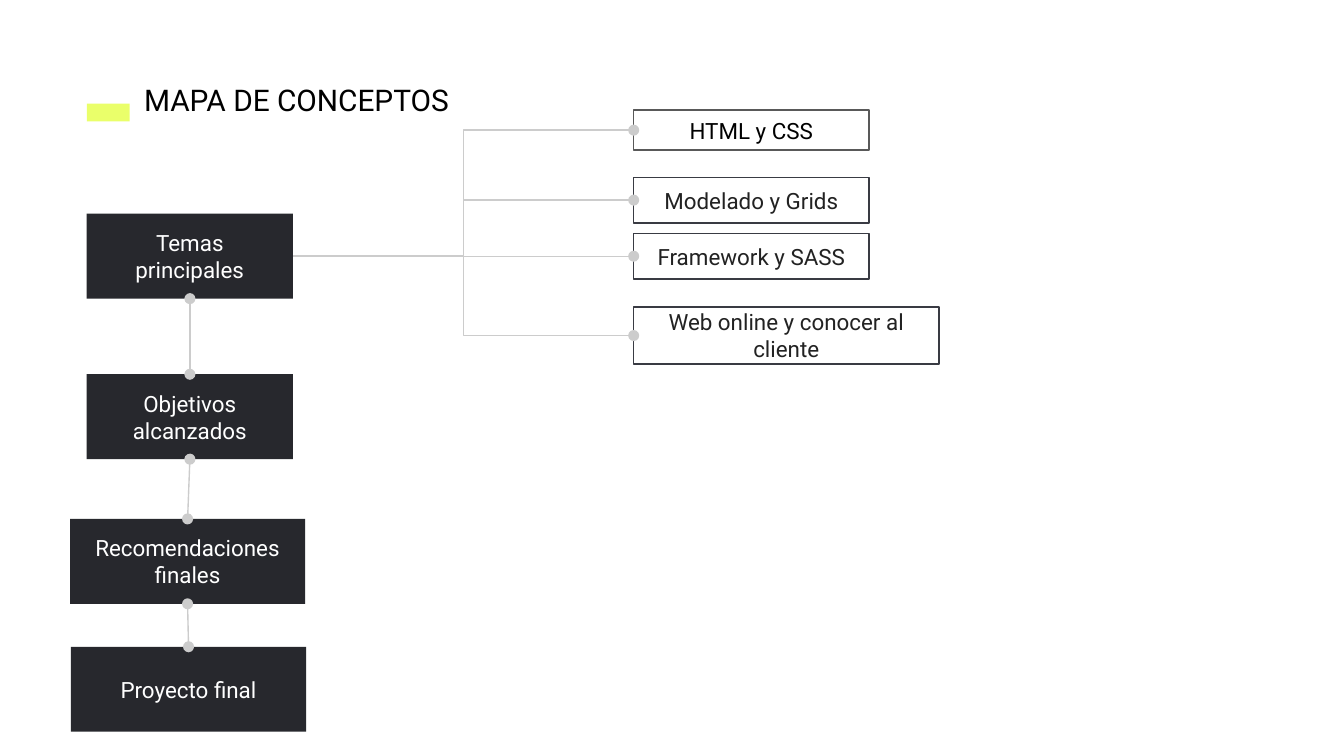
import pptx
import pptx.util
import pptx.dml.color
import pptx.enum.shapes
import pptx.enum.text
import pptx.oxml.ns
import lxml.etree

Pt = pptx.util.Pt
RGB = pptx.dml.color.RGBColor.from_string
Shape = pptx.enum.shapes.MSO_SHAPE
Connector = pptx.enum.shapes.MSO_CONNECTOR
Align = pptx.enum.text.PP_ALIGN
Anchor = pptx.enum.text.MSO_ANCHOR
qn = pptx.oxml.ns.qn

COLORS = {
    "accent": "EAFF6A", "dark": "27282D", "white": "FFFFFF", "black": "000000",
    "ink": "222222", "border": "393B43", "gray": "595959", "link": "CCCCCC",
}


def write(shape, text, *, size=12, color="ink", align=Align.CENTER, anchor=Anchor.MIDDLE):
    frame = shape.text_frame
    frame.word_wrap = True
    frame.auto_size = pptx.enum.text.MSO_AUTO_SIZE.NONE
    frame.vertical_anchor = anchor
    frame.margin_left = frame.margin_right = Pt(7.2)
    frame.margin_top = frame.margin_bottom = Pt(7.2)
    para = frame.paragraphs[0]
    para.alignment = align
    para.line_spacing = 1
    para.space_before = Pt(0)
    span = para.add_run()
    span.text = text
    span.font.name = "Roboto"
    span.font.size = Pt(size)
    span.font.color.rgb = RGB(COLORS[color])


def link(kind, start, start_side, end, end_side, dots):
    line = page.shapes.add_connector(kind, 0, 0, 0, 0)
    line.begin_connect(start, start_side)
    line.end_connect(end, end_side)
    line.line.width = Pt(0.75)
    line.line.color.rgb = RGB(COLORS["link"])
    outline = line.line._get_or_add_ln()
    for dot in dots:
        lxml.etree.SubElement(outline, qn("a:" + dot), type="oval")
    lxml.etree.SubElement(line._element.spPr, qn("a:effectLst"))


deck = pptx.Presentation()
deck.slide_width = Pt(720)
deck.slide_height = Pt(405)
page = deck.slides.add_slide(deck.slide_layouts[5])

marker = page.shapes.add_shape(Shape.RECTANGLE, Pt(46.5), Pt(55.5), Pt(23), Pt(9.5))
marker.shadow.inherit = False
marker.fill.solid()
marker.fill.fore_color.rgb = RGB(COLORS["accent"])
marker.line.fill.background()

title = page.shapes.title
title.left, title.top, title.width, title.height = Pt(70), Pt(36.75), Pt(193.5), Pt(34)
write(title, "MAPA DE CONCEPTOS", size=16, color="black", align=Align.LEFT, anchor=Anchor.TOP)

stages = []
for text, left, top, width in [
    ("Temas principales", 46.5, 114.5, 110.5),
    ("Objetivos alcanzados", 46.5, 200.5, 110.5),
    ("Recomendaciones finales", 37.5, 278, 126),
    ("Proyecto final", 38, 346.5, 126),
]:
    box = page.shapes.add_shape(Shape.RECTANGLE, Pt(left), Pt(top), Pt(width), Pt(45.5))
    box.shadow.inherit = False
    box.fill.solid()
    box.fill.fore_color.rgb = RGB(COLORS["dark"])
    box.line.fill.background()
    write(box, text, color="white")
    stages.append(box)

topics = []
for text, top, width, height, border, color in [
    ("HTML y CSS", 59, 126, 21.5, "gray", "black"),
    ("Modelado y Grids", 95, 126, 24.5, "border", "ink"),
    ("Framework y SASS", 125, 126, 24.5, "border", "ink"),
    ("Web online y conocer al cliente", 164.5, 163.5, 30.5, "border", "ink"),
]:
    box = page.shapes.add_shape(Shape.RECTANGLE, Pt(339.5), Pt(top), Pt(width), Pt(height))
    box.shadow.inherit = False
    box.fill.background()
    box.line.width = Pt(0.75)
    box.line.color.rgb = RGB(COLORS[border])
    write(box, text, color=color)
    topics.append(box)

for upper, lower in zip(stages, stages[1:]):
    link(Connector.STRAIGHT, upper, 2, lower, 0, ["headEnd", "tailEnd"])
for topic in topics:
    link(Connector.ELBOW, stages[0], 3, topic, 1, ["tailEnd"])

deck.save("out.pptx")
